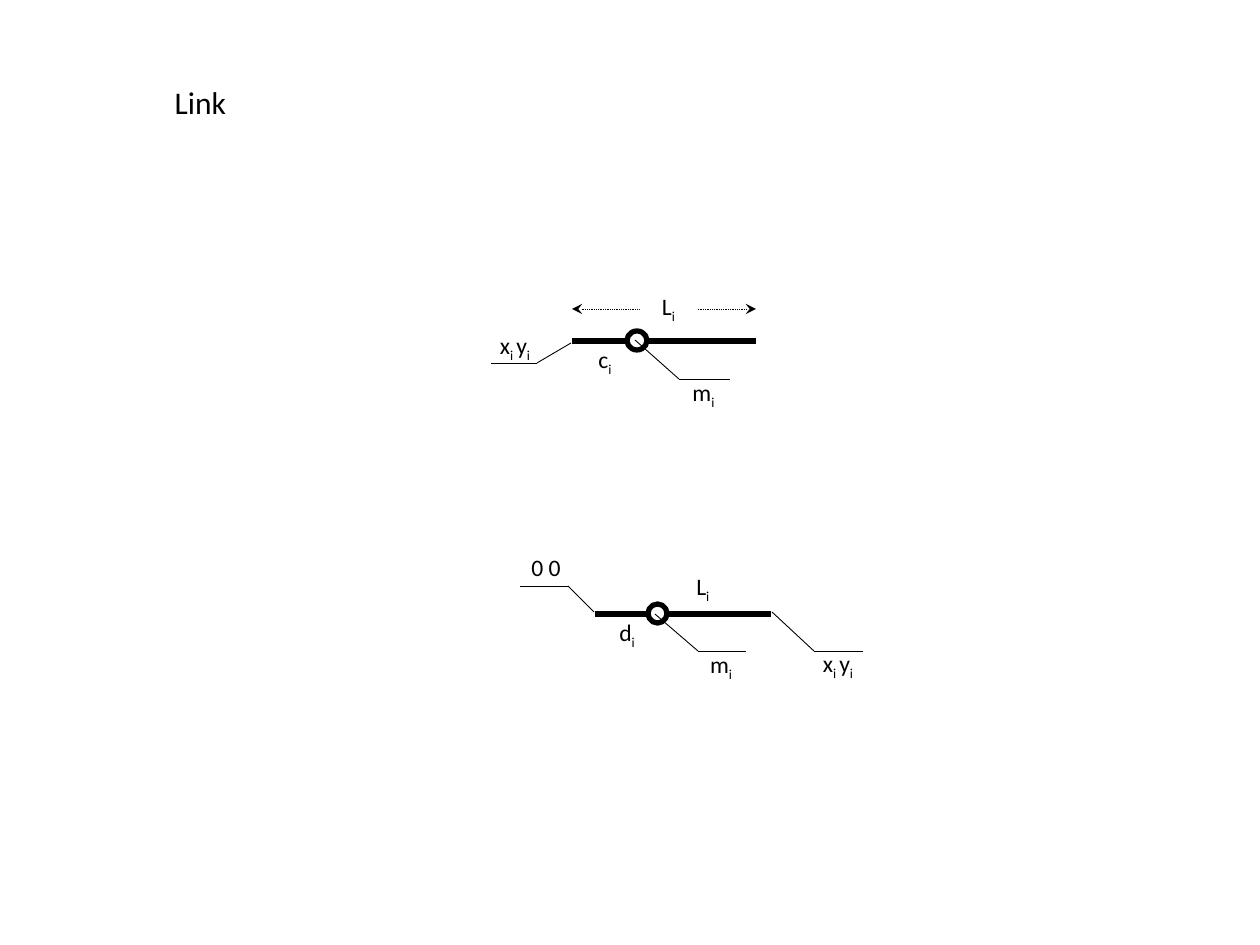
import pptx
import pptx.util
import pptx.dml.color
import pptx.enum.dml
import pptx.enum.shapes
import pptx.enum.text
from lxml import etree
from pptx.oxml.ns import qn

PX = 914400 // 126
BLACK = pptx.dml.color.RGBColor(0, 0, 0)
WHITE = pptx.dml.color.RGBColor(255, 255, 255)
FONT = "Calibri"
LABEL_H = 42

# Content: every second part of a label, split at "|", is a subscript
TITLE, TITLE_BOX = "Link", (162, 77, 77, 50)
LINKS = [
    {"bar": (595, 771, 614), "bar_width": 3, "mass": (648, 604, 19, 19),
     "leaders": [[(520, 586), (568, 586), (594, 612)],
                 [(655, 614), (698, 651), (746, 651)],
                 [(772, 612), (814, 651), (863, 651)]],
     # text, left, top, width, centred
     "labels": [("0 0", 512, 547, 68, True), ("d|i", 607, 612, 42, False),
                ("m|i", 654, 644, 134, True), ("L|i", 684, 566, 39, False),
                ("x|i |y|i", 771, 643, 134, True)]},
    {"bar": (572, 756, 341), "bar_width": 3.25, "mass": (627, 331, 20, 19),
     "leaders": [[(491, 363), (537, 363), (571, 343)],
                 [(635, 340), (679, 379), (730, 379)]],
     "labels": [("x|i |y|i", 469, 325, 92, True), ("c|i", 586, 339, 39, False),
                ("m|i", 634, 372, 139, True)],
     "dimension": (572, 756, 309), "dimension_label": ("L|i", 640, 286, 57, True)},
]


def emu(*lengths):
    return [pptx.util.Emu(n * PX) for n in lengths]


def style_line(line, width):
    line.color.rgb = BLACK
    line.width = pptx.util.Pt(width)


def add_line(shapes, start, end, width):
    line = shapes.add_connector(pptx.enum.shapes.MSO_CONNECTOR.STRAIGHT, *emu(*start, *end))
    style_line(line.line, width)
    etree.SubElement(line._element.spPr, qn("a:effectLst"))
    return line


def add_label(shapes, text, left, top, width, centred):
    box = shapes.add_textbox(*emu(left, top, width, LABEL_H))
    tf = box.text_frame
    tf.word_wrap = centred
    p = tf.paragraphs[0]
    p.alignment = pptx.enum.text.PP_ALIGN.CENTER if centred else pptx.enum.text.PP_ALIGN.LEFT
    for i, part in enumerate(text.split("|")):
        r = p.add_run()
        r.text = part
        r.font.name, r.font.size = FONT, pptx.util.Pt(13.5)
        r.font.color.rgb = BLACK
        if i % 2:
            r.font._element.set("baseline", "-25000")
    return box


def add_dimension(shapes, left, right, y):
    line = add_line(shapes, (left, y), (right, y), 0.5)
    line.line.dash_style = pptx.enum.dml.MSO_LINE.ROUND_DOT
    ln = line.line._get_or_add_ln()
    for end in ("a:headEnd", "a:tailEnd"):
        etree.SubElement(ln, qn(end), type="stealth")


def add_link(shapes, link):
    # Bar with its centre of mass
    left, right, y = link["bar"]
    add_line(shapes, (left, y), (right, y), link["bar_width"])
    mass = shapes.add_shape(pptx.enum.shapes.MSO_SHAPE.OVAL, *emu(*link["mass"]))
    mass.shadow.inherit = False
    mass.fill.solid()
    mass.fill.fore_color.rgb = WHITE
    style_line(mass.line, 3)

    # Leaders and labels
    for points in link["leaders"]:
        for start, end in zip(points, points[1:]):
            add_line(shapes, start, end, 0.5)
    for label in link["labels"]:
        add_label(shapes, *label)

    # Dimension line, broken by its label
    if "dimension" in link:
        add_dimension(shapes, *link["dimension"])
        box = add_label(shapes, *link["dimension_label"])
        box.fill.solid()
        box.fill.fore_color.rgb = WHITE


prs = pptx.Presentation()
prs.slide_width, prs.slide_height = pptx.util.Inches(10), pptx.util.Inches(7.5)
s = prs.slides.add_slide(prs.slide_layouts[5])

# Title
title = s.shapes.title
title.left, title.top, title.width, title.height = emu(*TITLE_BOX)
tf = title.text_frame
tf.text = TITLE
tf.word_wrap = False
tf.auto_size = pptx.enum.text.MSO_AUTO_SIZE.NONE
tf.vertical_anchor = pptx.enum.text.MSO_ANCHOR.TOP
p = tf.paragraphs[0]
p.alignment = pptx.enum.text.PP_ALIGN.LEFT
r = p.runs[0]
r.font.name, r.font.size = FONT, pptx.util.Pt(18)
r.font.color.rgb = BLACK

# Link diagrams
for link in LINKS:
    add_link(s.shapes.add_group_shape().shapes, link)

prs.save("out.pptx")
